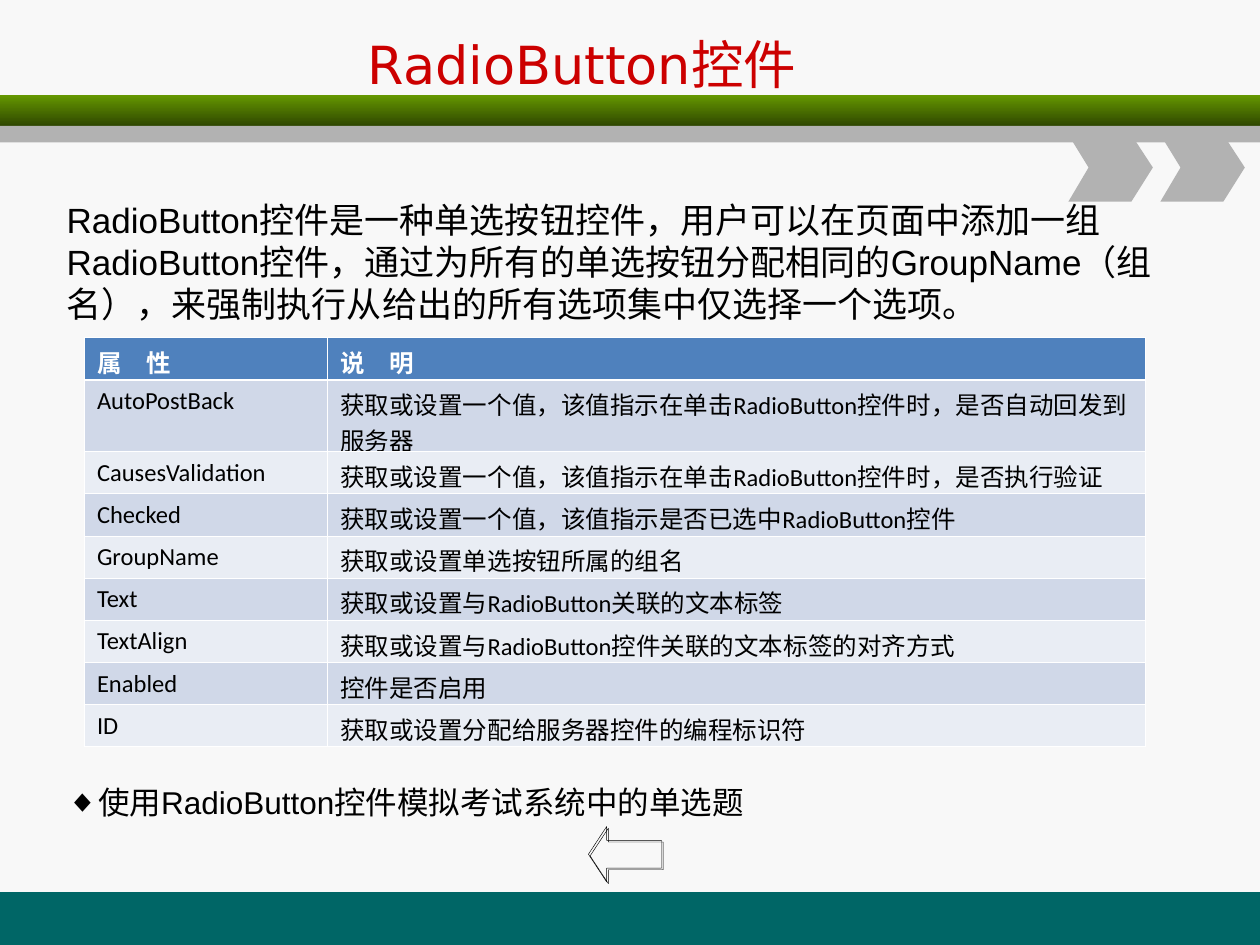
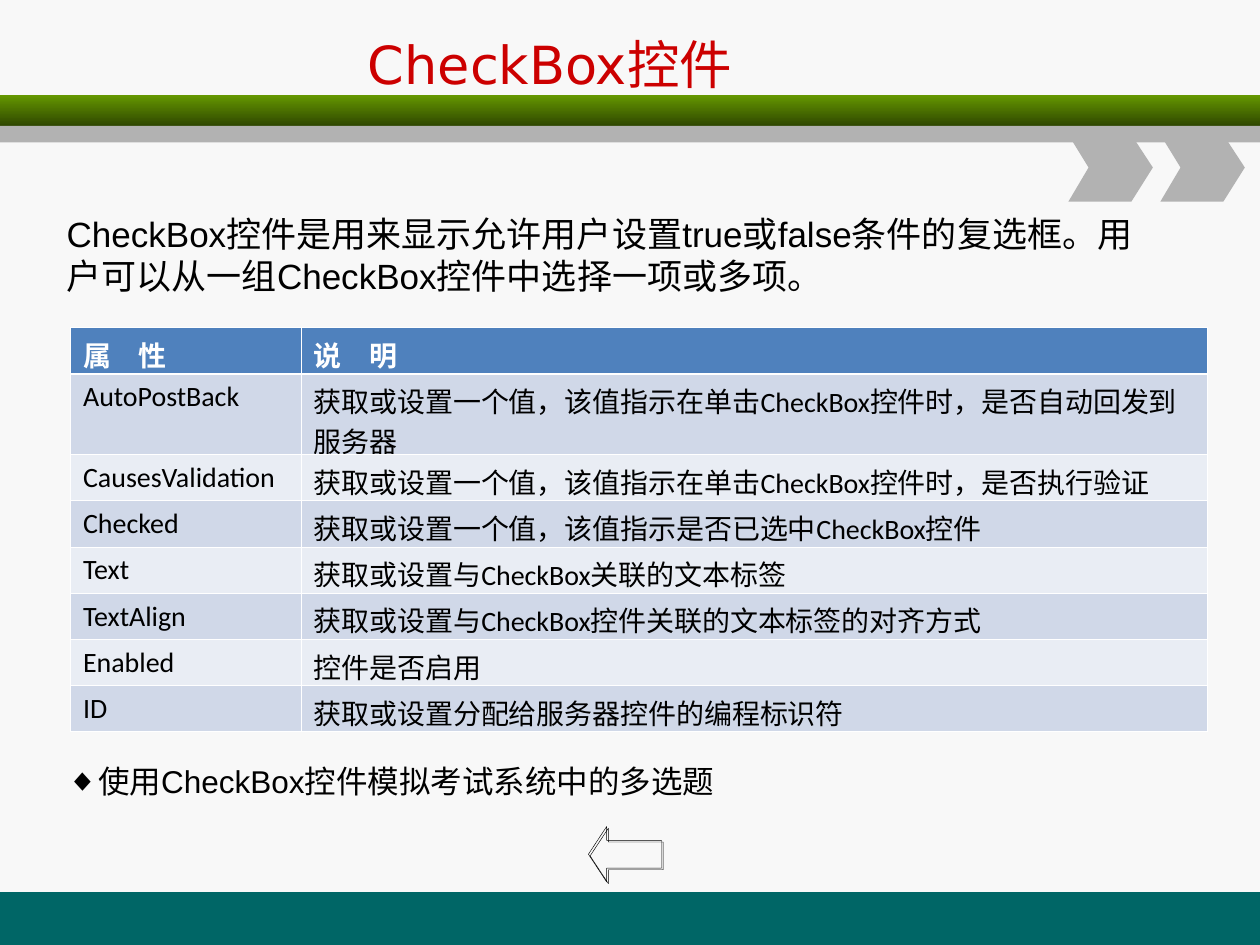
from lxml import etree
from pptx import Presentation
from pptx.dml.color import RGBColor
from pptx.enum.shapes import MSO_SHAPE as SHAPE
from pptx.enum.text import MSO_ANCHOR as ANCHOR, PP_ALIGN as ALIGN
from pptx.oxml import parse_xml
from pptx.oxml.ns import nsdecls, qn
from pptx.util import Inches, Pt

PAPER = RGBColor(0xF8, 0xF8, 0xF8)
TEAL = RGBColor(0x00, 0x66, 0x66)
GREEN = RGBColor(0x66, 0x99, 0x00)
DARK_GREEN = RGBColor(0x2F, 0x47, 0x00)
GREY = RGBColor(0xB2, 0xB2, 0xB2)
RED = RGBColor(0xCC, 0x00, 0x00)
BLACK = RGBColor(0x00, 0x00, 0x00)
WHITE = RGBColor(0xFF, 0xFF, 0xFF)
HEADER_BLUE = RGBColor(0x4F, 0x81, 0xBD)
ROW_TINTS = [RGBColor(0xE9, 0xED, 0xF4), RGBColor(0xD0, 0xD8, 0xE8)]

PROPERTIES = [
    ("属　性", "说　明"),
    ("AutoPostBack", "获取或设置一个值，该值指示在单击{}控件时，是否自动回发到服务器"),
    ("CausesValidation", "获取或设置一个值，该值指示在单击{}控件时，是否执行验证"),
    ("Checked", "获取或设置一个值，该值指示是否已选中{}控件"),
    ("GroupName", "获取或设置单选按钮所属的组名"),
    ("Text", "获取或设置与{}关联的文本标签"),
    ("TextAlign", "获取或设置与{}控件关联的文本标签的对齐方式"),
    ("Enabled", "控件是否启用"),
    ("ID", "获取或设置分配给服务器控件的编程标识符"),
]

CONTROLS = [
    dict(
        name="RadioButton",
        title_width=4.46,
        intro="RadioButton控件是一种单选按钮控件，用户可以在页面中添加一组RadioButton控件，"
              "通过为所有的单选按钮分配相同的GroupName（组名），来强制执行从给出的所有选项集中仅选择一个选项。",
        exercise="使用RadioButton控件模拟考试系统中的单选题",
        body_top=1.53, body_height=5.06, exercise_gap=262,
        table_at=(0.67, 2.68), columns=(1.93, 6.49), table_height=3.25, tall_row=0.57,
        cell_size=14, omitted=(),
    ),
    dict(
        name="CheckBox",
        title_width=3.75,
        intro="CheckBox控件是用来显示允许用户设置true或false条件的复选框。"
              "用户可以从一组CheckBox控件中选择一项或多项。",
        exercise="使用CheckBox控件模拟考试系统中的多选题",
        body_top=1.64, body_height=4.78, exercise_gap=266,
        table_at=(0.56, 2.6), columns=(1.83, 7.19), table_height=3.21, tall_row=0.64,
        cell_size=16, omitted=("GroupName",),
    ),
]


def format_font(paragraph, face, size, color, bold=False):
    for run in paragraph.runs:
        run.font.name = face
        run.font.size = Pt(size)
        run.font.color.rgb = color
        run.font.bold = bold


def set_cell_border(cell, side, width):
    line = etree.SubElement(cell._tc.get_or_add_tcPr(), qn("a:ln" + side), w=str(Pt(width)))
    fill = etree.SubElement(line, qn("a:solidFill"))
    etree.SubElement(fill, qn("a:srgbClr"), val=str(WHITE))


prs = Presentation()
prs.slide_width = Inches(10)
prs.slide_height = Inches(7.5)
background = prs.slide_master.background.fill
background.solid()
background.fore_color.rgb = PAPER
layout = prs.slide_layouts[5]
slides = [prs.slides.add_slide(layout) for control in CONTROLS]

drawing = slides[0].shapes
footer, green_band, grey_band = [
    drawing.add_shape(SHAPE.RECTANGLE, 0, Inches(top), prs.slide_width, Inches(height))
    for top, height in [(7.08, 0.42), (0.75, 0.25), (1, 0.13)]
]
chevrons = []
for left in (8.48, 9.21):
    outline = [(Inches(left + x), Inches(y)) for x, y in
               [(0, 1.07), (0.5, 1.07), (0.67, 1.33), (0.5, 1.6), (0, 1.6), (0.16, 1.33)]]
    builder = drawing.build_freeform(*outline[0])
    builder.add_line_segments(outline[1:], close=True)
    chevrons.append(builder.convert_to_shape())
for part, color in [(footer, TEAL), (grey_band, GREY)] + [(chevron, GREY) for chevron in chevrons]:
    part.fill.solid()
    part.fill.fore_color.rgb = color
green_band.fill.gradient()
green_band.fill.gradient_angle = 270
for stop, color in zip(green_band.fill.gradient_stops, (GREEN, DARK_GREEN)):
    stop.color.rgb = color

back_arrow = drawing.add_shape(SHAPE.LEFT_ARROW, Inches(4.67), Inches(6.56), Inches(0.58), Inches(0.44))
back_arrow.adjustments[0] = 0.5
back_arrow.adjustments[1] = 0.33
back_arrow.fill.background()

shared_parts = [footer, green_band, grey_band, *chevrons, back_arrow]
for number, part in enumerate(shared_parts, start=20):
    part.shadow.inherit = False
    part.line.fill.background()
    part._element.nvSpPr.cNvPr.set("id", str(number))
    layout.shapes._spTree.append(part._element)
back_arrow.line.color.rgb = BLACK
back_arrow.line.width = Pt(0.25)
back_arrow._element.spPr.find(qn("a:effectLst")).append(parse_xml(
    f'<a:outerShdw {nsdecls("a")} dist="{Pt(1.4)}" dir="2700000" algn="ctr" rotWithShape="0">'
    f'<a:srgbClr val="{BLACK}"/></a:outerShdw>'))

for slide, control in zip(slides, CONTROLS):
    title = slide.shapes.title
    title.left, title.top = Inches(2.82), Inches(0.17)
    title.width, title.height = Inches(control["title_width"]), Inches(0.67)
    title.text_frame.text = control["name"] + "控件"
    title.text_frame.vertical_anchor = ANCHOR.MIDDLE
    title.text_frame.paragraphs[0].alignment = ALIGN.LEFT
    format_font(title.text_frame.paragraphs[0], "DejaVu Sans", 30, RED)

    body = slide.shapes.add_textbox(Inches(0.43), Inches(control["body_top"]),
                                    Inches(8.88), Inches(control["body_height"])).text_frame
    body.word_wrap = True
    body.text = control["intro"]
    format_font(body.paragraphs[0], "Arial", 20, BLACK)
    exercise = body.add_paragraph()
    exercise.text = control["exercise"]
    exercise.space_before = Pt(control["exercise_gap"])
    margins = exercise._p.get_or_add_pPr()
    margins.set("marL", str(Inches(0.25)))
    margins.set("indent", str(-Inches(0.25)))
    bullet_color = etree.SubElement(margins, qn("a:buClr"))
    etree.SubElement(bullet_color, qn("a:srgbClr"), val=str(BLACK))
    etree.SubElement(margins, qn("a:buFont"), typeface="Arial")
    etree.SubElement(margins, qn("a:buChar"), char="◆")
    format_font(exercise, "Arial", 18, BLACK)

    rows = [row for row in PROPERTIES if row[0] not in control["omitted"]]
    left, top = control["table_at"]
    table = slide.shapes.add_table(len(rows), 2, Inches(left), Inches(top),
                                   Inches(sum(control["columns"])),
                                   Inches(control["table_height"])).table
    table.horz_banding = False
    for column, width in zip(table.columns, control["columns"]):
        column.width = Inches(width)
    plain_row = (control["table_height"] - control["tall_row"]) / (len(rows) - 1)
    for r, row in enumerate(rows):
        is_header = r == 0
        table.rows[r].height = Inches(control["tall_row"] if r == 1 else plain_row)
        for c, wording in enumerate(row):
            cell = table.cell(r, c)
            for side in "LRTB":
                thick = (r, side) in [(0, "B"), (1, "T")]
                set_cell_border(cell, side, 1.47 if thick else 0.45)
            cell.fill.solid()
            cell.fill.fore_color.rgb = HEADER_BLUE if is_header else ROW_TINTS[r % 2]
            cell.text_frame.text = wording.format(control["name"])
            format_font(cell.text_frame.paragraphs[0], "Calibri", control["cell_size"],
                        WHITE if is_header else BLACK, bold=is_header)

prs.save("out.pptx")
